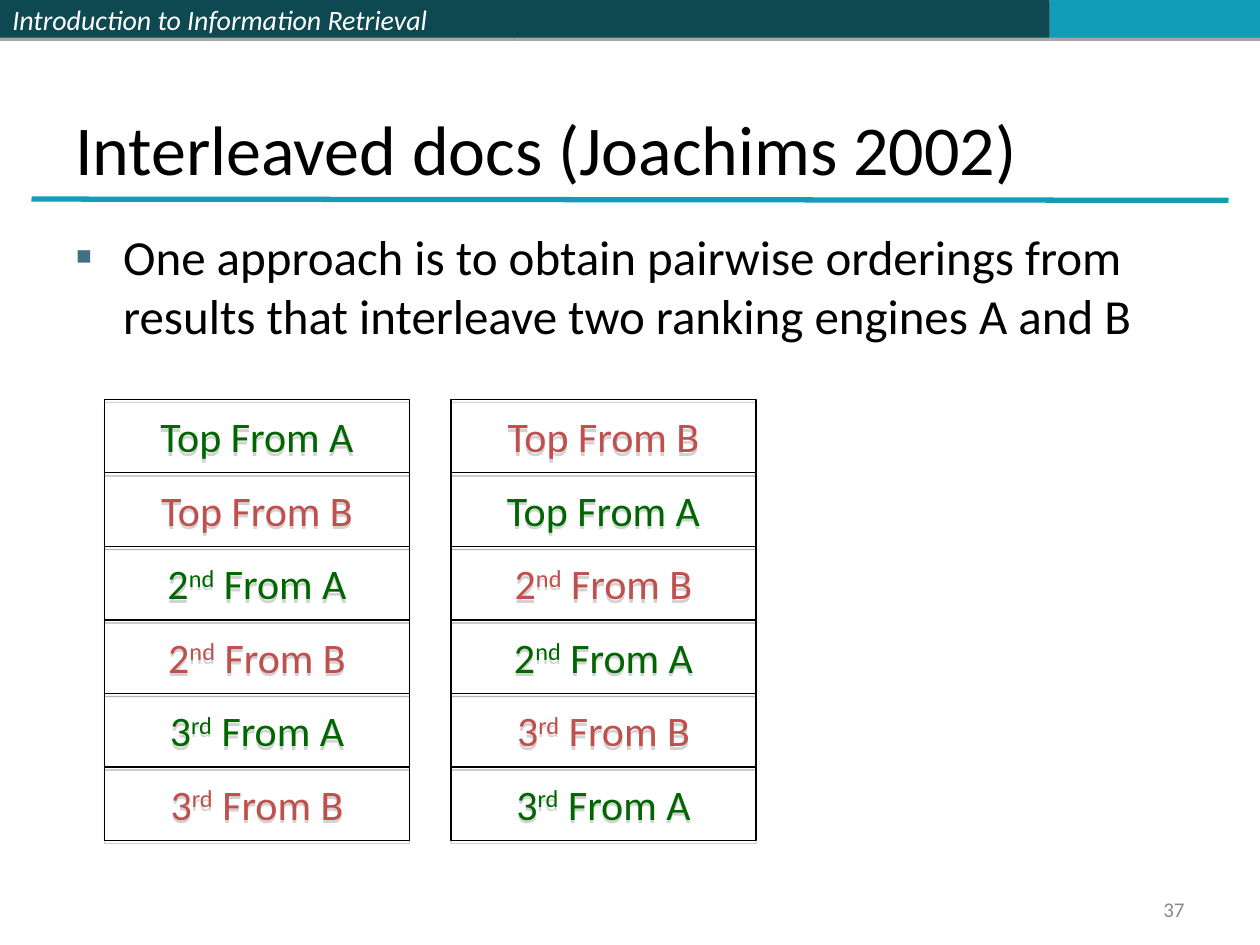
from lxml.etree import SubElement
from pptx import Presentation
from pptx.dml.color import RGBColor
from pptx.enum.shapes import MSO_CONNECTOR as Connector, MSO_SHAPE as Shape
from pptx.enum.text import MSO_ANCHOR as Anchor, PP_ALIGN as Align
from pptx.oxml.ns import qn
from pptx.util import Inches, Pt

COLORS = {
    "dark": "0E4851",
    "teal": "139CB7",
    "white": "FFFFFF",
    "black": "000000",
    "bullet": "437085",
    "number": "898989",
    "shadow": "808080",
    "A": "006600",
    "B": "C0504D",
}
RANKS = [("Top", ""), ("2", "nd"), ("3", "rd")]
CELL_WIDTH, CELL_HEIGHT = 2.42, 3.5 / 6
LIST_TOP = 3.17


def rgb(name):
    return RGBColor.from_string(COLORS[name])


def add_shadow(shape, color):
    shape.shadow.inherit = False
    effects = shape._element.spPr.find(qn("a:effectLst"))
    outer = SubElement(effects, qn("a:outerShdw"), dist=str(Pt(1.8)),
                       dir="5400000", algn="ctr", rotWithShape="0")
    tint = SubElement(outer, qn("a:srgbClr"), val=COLORS[color])
    SubElement(tint, qn("a:alpha"), val="35000")


def add_span(para, text, size, color, **formats):
    span = para.add_run()
    span.text = text
    span.font.color.rgb = rgb(color)
    for name, value in {"name": "Calibri", "size": Pt(size), **formats}.items():
        setattr(span.font, name, value)
    return span


def format_frame(box, anchor, align=Align.LEFT):
    frame = box.text_frame
    frame.word_wrap = True
    frame.vertical_anchor = anchor
    para = frame.paragraphs[0]
    para.alignment = align
    return para


def add_text(page, area, text, size, color, anchor, align=Align.LEFT):
    box = page.shapes.add_textbox(*map(Inches, area))
    para = format_frame(box, anchor, align)
    add_span(para, text, size, color)
    return para


def add_rectangle(page, area, shadow):
    box = page.shapes.add_shape(Shape.RECTANGLE, *map(Inches, area))
    add_shadow(box, shadow)
    return box


def add_band(page, left, width, color):
    band = add_rectangle(page, (left, 0, width, 0.3), "black")
    band.fill.solid()
    band.fill.fore_color.rgb = rgb(color)
    band.line.fill.background()
    return band


def add_rule(page):
    ends = map(Inches, (0.25, 1.58, 9.75, 1.59))
    rule = page.shapes.add_connector(Connector.STRAIGHT, *ends)
    rule.line.color.rgb = rgb("teal")
    rule.line.width = Pt(3)
    SubElement(rule._element.spPr, qn("a:effectLst"))


def add_bullet(para):
    props = para._p.get_or_add_pPr()
    props.set("marL", str(Inches(0.38)))
    props.set("indent", str(-Inches(0.38)))
    color = SubElement(props, qn("a:buClr"))
    SubElement(color, qn("a:srgbClr"), val=COLORS["bullet"])
    SubElement(props, qn("a:buFont"), typeface="Calibri")
    SubElement(props, qn("a:buChar"), char="▪")


def add_result(page, left, top, rank, suffix, engine):
    cell = add_rectangle(page, (left, top, CELL_WIDTH, CELL_HEIGHT), "shadow")
    cell.fill.background()
    cell.line.color.rgb = rgb("black")
    cell.line.width = Pt(0.75)
    para = format_frame(cell, Anchor.MIDDLE, Align.CENTER)
    add_span(para, rank, 24, engine)
    if suffix:
        raised = add_span(para, suffix, 24, engine)
        raised.font._element.set("baseline", "30000")
    add_span(para, f" From {engine}", 24, engine)


def add_ranking(page, left, engines):
    results = [(*rank, engine) for rank in RANKS for engine in engines]
    for row, result in enumerate(results):
        add_result(page, left, LIST_TOP + row * CELL_HEIGHT, *result)


def main():
    deck = Presentation()
    deck.slide_width, deck.slide_height = Inches(10), Inches(7.5)
    page = deck.slides.add_slide(deck.slide_layouts[6])

    course = add_band(page, 0, 4.08, "dark")
    add_span(format_frame(course, Anchor.MIDDLE),
             "Introduction to Information Retrieval", 16, "white", italic=True)
    add_band(page, 4.08, 4.25, "dark")
    add_band(page, 8.33, 1.67, "teal")
    add_rule(page)

    add_text(page, (0.5, 0.3, 9, 1.25), "Interleaved docs (Joachims 2002)",
             40, "black", Anchor.BOTTOM)
    body = add_text(page, (0.5, 1.75, 9, 5.42),
                    "One approach is to obtain pairwise orderings from "
                    "results that interleave two ranking engines A and B",
                    28, "black", Anchor.TOP)
    add_bullet(body)
    add_text(page, (7.17, 7.08, 2.33, 0.27), "37", 12, "number",
             Anchor.MIDDLE, Align.RIGHT)

    add_ranking(page, 0.83, "AB")
    add_ranking(page, 3.58, "BA")
    deck.save("out.pptx")


if __name__ == "__main__":
    main()
